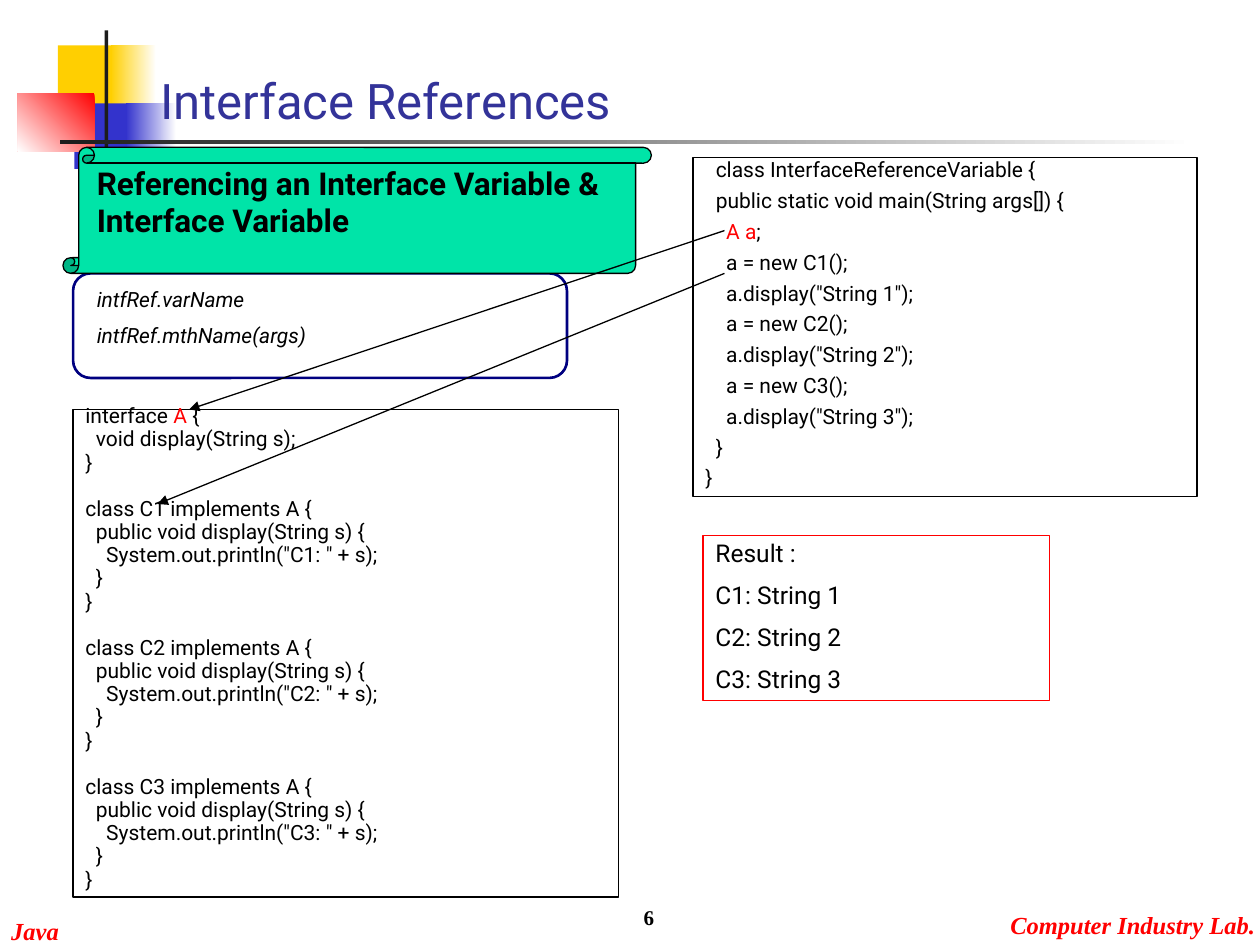
"""Build the "Interface References" slide of a Java lecture."""
from dataclasses import dataclass
from typing import Optional

from lxml.etree import SubElement
from pptx import Presentation
from pptx.dml.color import RGBColor
from pptx.enum.shapes import MSO_CONNECTOR, MSO_SHAPE
from pptx.enum.text import MSO_ANCHOR, MSO_AUTO_SIZE, PP_ALIGN
from pptx.oxml.ns import qn
from pptx.util import Pt

EMU_PER_PX = 9144


@dataclass(frozen=True)
class Theme:
    black: str = "000000"
    white: str = "FFFFFF"
    red: str = "FF0000"
    yellow: str = "FFCF01"
    blue: str = "3333CC"
    charcoal: str = "1C1C1C"
    navy: str = "000080"
    heading: str = "333399"
    scroll: str = "00E4A8"
    sans: str = "Roboto"
    serif: str = "Times New Roman"
    title_size: int = 28
    banner_size: int = 18
    result_size: int = 14
    code_size: int = 12


THEME = Theme()


@dataclass(frozen=True)
class Area:
    left: int
    top: int
    width: int
    height: int

    def emu(self) -> tuple:
        return tuple(px(v) for v in (self.left, self.top, self.width, self.height))


@dataclass(frozen=True)
class Style:
    size: int = THEME.code_size
    color: str = THEME.black
    family: str = THEME.sans
    bold: bool = False
    italic: bool = False
    spacing: float = 1.0
    before: float = 0
    align: PP_ALIGN = PP_ALIGN.LEFT
    anchor: MSO_ANCHOR = MSO_ANCHOR.TOP
    wrap: bool = True


@dataclass(frozen=True)
class Line:
    text: str
    red: str = ""
    before: Optional[float] = None


@dataclass(frozen=True)
class Block:
    area: Area
    lines: list
    style: Style
    outline: Optional[str] = None


@dataclass(frozen=True)
class Decoration:
    area: Area
    start: str
    end: Optional[str] = None
    angle: int = 180


def px(length: int) -> int:
    return length * EMU_PER_PX


def rgb(value: str) -> RGBColor:
    return RGBColor.from_string(value)


def add_panel(page, kind, area: Area, outline=None, weight=0.75, fill=None):
    panel = page.shapes.add_shape(kind, *area.emu())
    panel.shadow.inherit = False
    if fill:
        panel.fill.solid()
        panel.fill.fore_color.rgb = rgb(fill)
    else:
        panel.fill.background()
    if outline:
        panel.line.color.rgb = rgb(outline)
        panel.line.width = Pt(weight)
    else:
        panel.line.fill.background()
    return panel


def add_decoration(page, part: Decoration) -> None:
    panel = add_panel(page, MSO_SHAPE.RECTANGLE, part.area, fill=part.start)
    if part.end:
        panel.fill.gradient()
        panel.fill.gradient_angle = part.angle
        for stop, color in zip(panel.fill.gradient_stops, (part.start, part.end)):
            stop.color.rgb = rgb(color)


def write(box, lines: list, style: Style) -> None:
    frame = box.text_frame
    frame.auto_size = MSO_AUTO_SIZE.NONE
    frame.word_wrap = style.wrap
    frame.vertical_anchor = style.anchor
    for index, line in enumerate(lines):
        para = frame.paragraphs[0] if index == 0 else frame.add_paragraph()
        para.alignment = style.align
        para.line_spacing = style.spacing
        before = style.before if line.before is None else line.before
        para.space_before = Pt(before if index else 0)
        font = para.font
        font.name, font.size = style.family, Pt(style.size)
        font.bold, font.italic = style.bold, style.italic
        font.color.rgb = rgb(style.color)
        parts = line.text.partition(line.red) if line.red else (line.text,)
        for part in filter(None, parts):
            span = para.add_run()
            span.text = part
            if part == line.red:
                span.font.color.rgb = rgb(THEME.red)


def add_block(page, block: Block) -> None:
    if block.outline:
        box = add_panel(page, MSO_SHAPE.RECTANGLE, block.area, block.outline)
    else:
        box = page.shapes.add_textbox(*block.area.emu())
    write(box, block.lines, block.style)


def add_arrow(page, start: tuple, end: tuple) -> None:
    arrow = page.shapes.add_connector(MSO_CONNECTOR.STRAIGHT, *map(px, start + end))
    arrow.line.color.rgb = rgb(THEME.black)
    arrow.line.width = Pt(0.75)
    properties = arrow.element.spPr
    SubElement(properties.find(qn("a:ln")), qn("a:tailEnd"), type="triangle")
    SubElement(properties, qn("a:effectLst"))


def class_lines(name: str) -> list:
    return [Line(f"class {name} implements A {{", before=20.6),
            Line("  public void display(String s) {"),
            Line(f'    System.out.println("{name}: " + s);'),
            Line("  }"), Line("}")]


DECORATIONS = [
    Decoration(Area(46, 36, 48, 52), THEME.yellow),
    Decoration(Area(88, 36, 36, 52), THEME.white, THEME.yellow),
    Decoration(Area(59, 82, 46, 52), THEME.blue),
    Decoration(Area(100, 82, 40, 52), THEME.white, THEME.blue),
    Decoration(Area(14, 74, 61, 46), THEME.red, THEME.white, 225),
    Decoration(Area(83, 24, 3, 115), THEME.charcoal),
    Decoration(Area(48, 111, 900, 3), THEME.white, THEME.charcoal),
]
CLASSES = ("C1", "C2", "C3")
INTERFACE = [Line("interface A {", red="A"), Line("  void display(String s);"), Line("}")]
INTERFACE += [line for name in CLASSES for line in class_lines(name)]
MAIN = [Line("  class InterfaceReferenceVariable {"),
        Line("  public static void main(String args[]) {"),
        Line("    A a;", red="A a")]
for number, name in enumerate(CLASSES, 1):
    MAIN += [Line(f"    a = new {name}();"), Line(f'    a.display("String {number}");')]
MAIN += [Line("  }"), Line("}")]
RESULT = [Line("Result :")] + [Line(f"{name}: String {i}") for i, name in enumerate(CLASSES, 1)]
FOOTER = Style(14, THEME.red, THEME.serif, bold=True, italic=True, wrap=False)
BLOCKS = [
    Block(Area(-1, 722, 58, 34), [Line("Java")], FOOTER),
    Block(Area(792, 717, 214, 34), [Line("Computer Industry Lab.")], FOOTER),
    Block(Area(67, 225, 350, 57), [Line("intfRef.varName"), Line("intfRef.mthName(args)")],
          Style(italic=True, spacing=0.9, before=7.5)),
    Block(Area(67, 125, 442, 70), [Line("Referencing an Interface Variable & Interface Variable")],
          Style(THEME.banner_size, bold=True)),
    Block(Area(58, 325, 433, 387), INTERFACE, Style(spacing=0.4, before=7.5), THEME.black),
    Block(Area(550, 125, 400, 269), MAIN, Style(spacing=0.7, before=7.5), THEME.black),
    Block(Area(558, 425, 275, 131), RESULT,
          Style(THEME.result_size, spacing=0.9, before=8.8), THEME.red),
    Block(Area(321, 693, 208, 50), [Line("6")],
          Style(family=THEME.serif, bold=True, align=PP_ALIGN.RIGHT, anchor=MSO_ANCHOR.BOTTOM)),
]


def main() -> None:
    deck = Presentation()
    deck.slide_width, deck.slide_height = px(1000), px(750)
    page = deck.slides.add_slide(deck.slide_layouts[5])
    for part in DECORATIONS:
        add_decoration(page, part)
    title = page.shapes.title
    title.element.getparent().append(title.element)
    title.left, title.top, title.width, title.height = Area(117, 50, 450, 58).emu()
    write(title, [Line("Interface References")],
          Style(THEME.title_size, THEME.heading, anchor=MSO_ANCHOR.BOTTOM))
    add_panel(page, MSO_SHAPE.ROUNDED_RECTANGLE, Area(58, 217, 392, 83), THEME.navy, 1.5)
    add_panel(page, MSO_SHAPE.VERTICAL_SCROLL, Area(50, 117, 467, 100), THEME.black, fill=THEME.scroll)
    for block in BLOCKS:
        add_block(page, block)
    add_arrow(page, (575, 183), (150, 325))
    add_arrow(page, (575, 217), (125, 400))
    deck.save("out.pptx")


if __name__ == "__main__":
    main()
